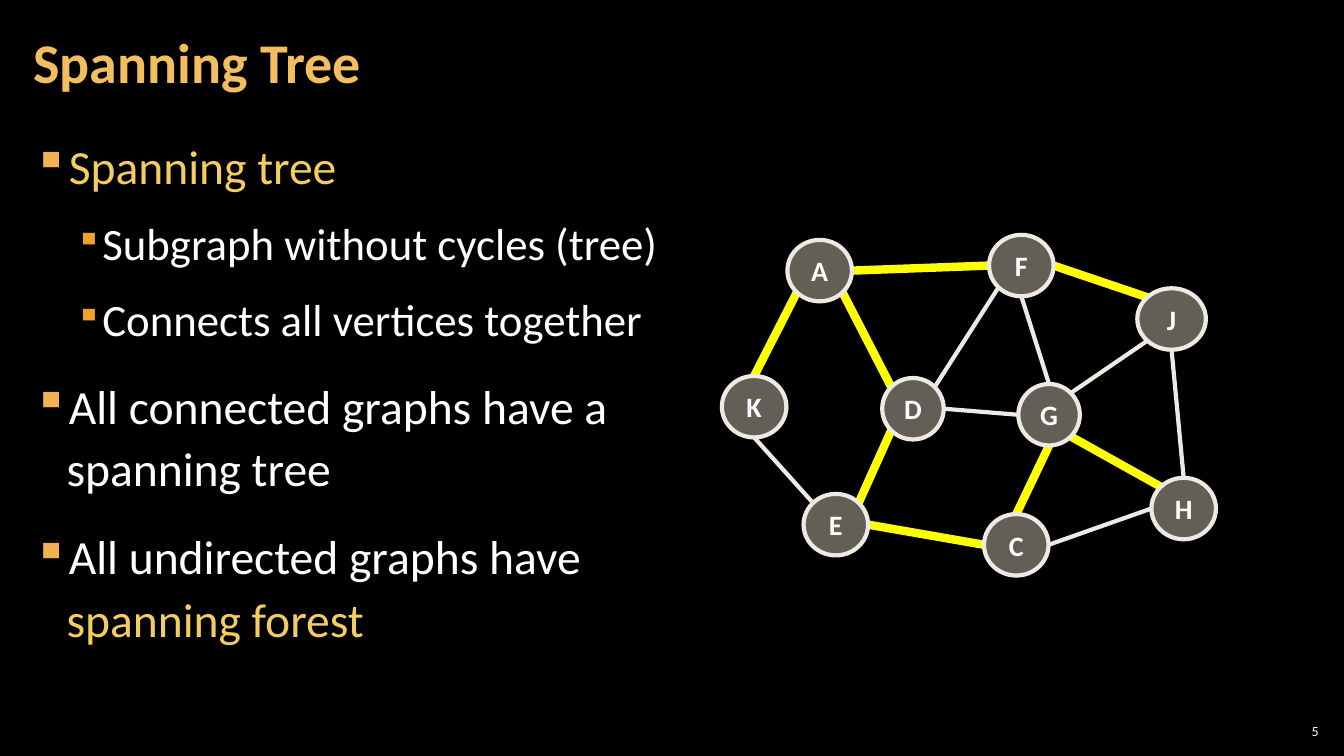
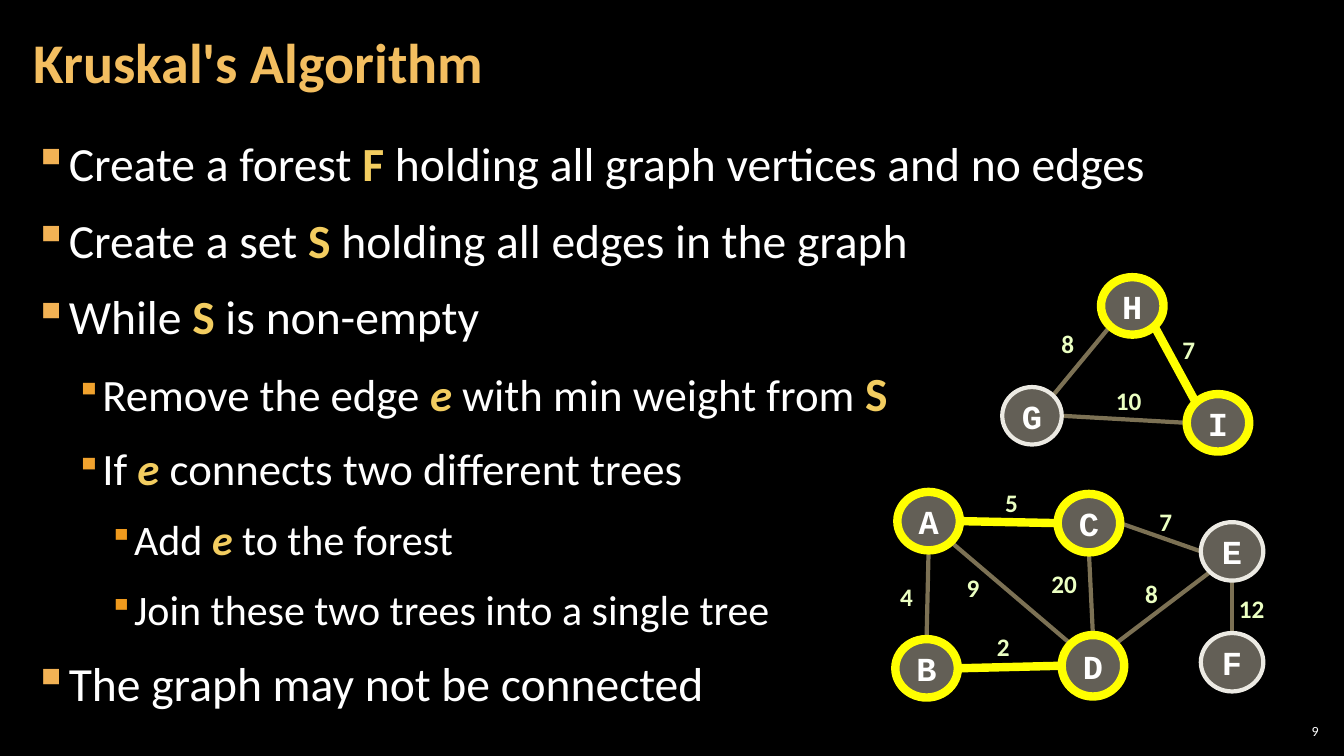
from math import cos, pi, sin

from lxml.etree import SubElement
from pptx import Presentation
from pptx.dml.color import RGBColor
from pptx.enum.shapes import MSO_CONNECTOR, MSO_SHAPE
from pptx.enum.text import MSO_ANCHOR, PP_ALIGN
from pptx.oxml.ns import qn
from pptx.util import Inches, Pt

COLORS = {
    "back": "000000", "text": "FFFFFF", "title": "F3BE60", "gold": "F3CD60",
    "node": "C7BFAC", "ring": "ECEAE3", "tree": "FFFF00", "dim": "7C7154",
    "weight": "EBFFC2",
}
# Per outline level: text size, left margin, hanging indent, bullet colour, bullet percent
LEVELS = [
    (34, 0.33, 0.33, "F2B254", 100),
    (32, 0.67, 0.25, "F0A22E", 80),
    (30, 1.00, 0.25, "EF9A1D", 80),
]
# Run styles used in the outlines
STYLES = {
    "plain": {},
    "gold": {"color": "gold"},
    "name": {"color": "gold", "bold": True, "size": 34},
    "var": {"color": "gold", "bold": True, "italic": True},
}
COMPASS = ["e", "se", "s", "sw", "w", "nw", "n", "ne"]

# Content: an outline entry is (level, runs); a run is plain text or (text, style).
# A node is (left, top, width, height); an edge joins compass points of two nodes.
SLIDES = [
    {
        "title": "Spanning Tree", "number": "5", "spacing": 1.1, "before": 12,
        "outline": [
            (0, [("Spanning tree", "gold")]),
            (1, ["Subgraph without cycles (tree)"]),
            (1, ["Connects all vertices together"]),
            (0, ["All connected graphs have a\nspanning tree"]),
            (0, ["All undirected graphs have\n", ("spanning forest", "gold")]),
        ],
        "node_font": ("Calibri", 20), "edge_color": "ring", "ringed": "",
        "nodes": {
            "A": (7.81, 2.38, 0.64, 0.61), "C": (9.76, 5.10, 0.64, 0.61),
            "D": (8.75, 3.75, 0.61, 0.61), "E": (7.97, 4.90, 0.64, 0.61),
            "F": (9.81, 2.33, 0.64, 0.61), "G": (10.10, 3.81, 0.61, 0.61),
            "H": (11.42, 4.74, 0.64, 0.61), "J": (11.28, 2.86, 0.68, 0.61),
            "K": (7.16, 3.73, 0.64, 0.61),
        },
        "edges": ["G.ne J.sw", "G.n F.s", "D.e G.w", "F.sw D.ne",
                  "H.n J.s", "H.w C.e", "K.s E.nw"],
        "tree": ["F.e J.nw", "A.e F.w", "D.nw A.se", "G.se H.nw",
                 "C.w E.e", "D.sw E.ne", "C.n G.s", "K.n A.sw"],
        "weights": [],
    },
    {
        "title": "Kruskal's Algorithm", "number": "9", "spacing": 1.05, "before": 6,
        "outline": [
            (0, ["Create a forest ", ("F", "name"),
                 " holding all graph vertices and no edges"]),
            (0, ["Create a set ", ("S", "name"), " holding all edges in the graph"]),
            (0, ["While ", ("S", "name"), " is non-empty"]),
            (1, ["Remove the edge ", ("e", "var"), " with min weight from ",
                 ("S", "name")]),
            (1, ["If ", ("e ", "var"), "connects two different trees"]),
            (2, ["Add ", ("e", "var"), " to the forest"]),
            (2, ["Join these two trees into a single tree"]),
            (0, ["The graph may not be connected"]),
        ],
        "node_font": ("Courier New", 24), "edge_color": "dim", "ringed": "ABCDHI",
        "nodes": {
            "A": (8.90, 4.88, 0.62, 0.58), "B": (8.88, 6.34, 0.62, 0.58),
            "C": (10.49, 4.90, 0.62, 0.58), "D": (10.53, 6.30, 0.62, 0.61),
            "E": (11.91, 5.18, 0.62, 0.58), "F": (11.91, 6.28, 0.62, 0.58),
            "G": (9.94, 3.84, 0.59, 0.57), "H": (10.92, 2.75, 0.62, 0.57),
            "I": (11.77, 3.91, 0.62, 0.57),
        },
        "edges": ["D.ne E.sw", "D.n C.s", "F.n E.s", "D.nw A.se",
                  "C.e E.w", "B.n A.s", "G.e I.w", "G.ne H.sw"],
        "tree": ["D.w B.e", "A.e C.w", "I.nw H.se"],
        "weights": [
            ("4", 8.83, 5.72), ("2", 9.79, 6.21), ("9", 9.49, 5.63),
            ("12", 12.19, 5.84), ("8", 11.26, 5.69), ("7", 11.40, 4.97),
            ("5", 9.87, 4.79), ("20", 10.33, 5.59), ("10", 10.97, 3.77),
            ("8", 10.43, 3.21), ("7", 11.63, 3.27),
        ],
    },
]


def rgb(name):
    return RGBColor.from_string(COLORS[name])


def add_run(p, text, size, color="text", bold=False, italic=False, font="Calibri"):
    for i, line in enumerate(text.split("\n")):
        if i:
            p.add_line_break()
        if line:
            r = p.add_run()
            r.text = line
            r.font.name, r.font.size = font, Pt(size)
            r.font.bold, r.font.italic = bold, italic
            r.font.color.rgb = rgb(color)


def set_frame(tf, wrap=True, anchor=MSO_ANCHOR.TOP, side=0.1, edge=0.05):
    tf.word_wrap, tf.vertical_anchor = wrap, anchor
    tf.margin_left = tf.margin_right = Inches(side)
    tf.margin_top = tf.margin_bottom = Inches(edge)
    return tf


def add_text(s, box, **frame):
    sp = s.shapes.add_textbox(*map(Inches, box))
    return set_frame(sp.text_frame, **frame)


def add_bullet(p, level):
    _, margin, hang, color, percent = LEVELS[level]
    pPr = p._p.get_or_add_pPr()
    pPr.set("marL", str(Inches(margin)))
    pPr.set("indent", str(-Inches(hang)))
    SubElement(SubElement(pPr, qn("a:buClr")), qn("a:srgbClr"), val=color)
    SubElement(pPr, qn("a:buSzPct"), val=str(percent * 1000))
    SubElement(pPr, qn("a:buChar"), char="▪")


def add_outline(s, data):
    tf = add_text(s, (0.21, 1.26, 12.91, 6.09), side=0.12, edge=0.04)
    for i, (level, runs) in enumerate(data["outline"]):
        p = tf.add_paragraph() if i else tf.paragraphs[0]
        p.level = level
        add_bullet(p, level)
        p.line_spacing, p.space_after = data["spacing"], Pt(6)
        p.space_before = Pt(0 if i == 0 else 6 if level else data["before"])
        for run in runs:
            text, style = (run, "plain") if isinstance(run, str) else run
            add_run(p, text, **{"size": LEVELS[level][0], **STYLES[style]})


def add_frame(s, data):
    """Title and slide number."""
    p = add_text(s, (0.21, 0.04, 10.47, 1.21), anchor=MSO_ANCHOR.MIDDLE,
                 side=0.12, edge=0.04).paragraphs[0]
    p.line_spacing = 0.9
    add_run(p, data["title"], 40, "title", bold=True)
    p = add_text(s, (12.65, 7.14, 0.47, 0.22), anchor=MSO_ANCHOR.MIDDLE,
                 side=0.04, edge=0.04).paragraphs[0]
    p.alignment = PP_ALIGN.RIGHT
    add_run(p, data["number"], 10)


def rim_point(nodes, end):
    name, side = end.split(".")
    x, y, w, h = nodes[name]
    angle = COMPASS.index(side) * pi / 4
    return Inches(x + w / 2 * (1 + cos(angle))), Inches(y + h / 2 * (1 + sin(angle)))


def add_edge(s, nodes, edge, color, width):
    start, end = (rim_point(nodes, e) for e in edge.split())
    line = s.shapes.add_connector(MSO_CONNECTOR.STRAIGHT, *start, *end)
    line.line.color.rgb, line.line.width = rgb(color), Pt(width)
    SubElement(line._element.spPr, qn("a:effectLst"))


def add_node(s, name, box, ringed, font):
    sp = s.shapes.add_shape(MSO_SHAPE.OVAL, *map(Inches, box))
    sp.shadow.inherit = False
    sp.fill.solid()
    sp.fill.fore_color.rgb = rgb("node")
    fill = sp._element.spPr.find(qn("a:solidFill"))
    SubElement(fill[0], qn("a:alpha"), val="50000")
    sp.line.color.rgb = rgb("tree" if ringed else "ring")
    sp.line.width = Pt(6 if ringed else 3)
    tf = set_frame(sp.text_frame, wrap=False, anchor=MSO_ANCHOR.MIDDLE, side=0.04)
    p = tf.paragraphs[0]
    p.alignment = PP_ALIGN.CENTER
    add_run(p, name, font[1], bold=True, font=font[0])


def add_graph(s, data):
    nodes = data["nodes"]
    for edge in data["edges"]:
        add_edge(s, nodes, edge, data["edge_color"], 3)
    for edge in data["tree"]:
        add_edge(s, nodes, edge, "tree", 6)
    for name, box in nodes.items():
        add_node(s, name, box, name in data["ringed"], data["node_font"])
    for text, x, y in data["weights"]:
        tf = add_text(s, (x, y, 0.2 + 0.13 * len(text), 0.4), wrap=False)
        add_run(tf.paragraphs[0], text, 18, "weight", bold=True)


def main():
    prs = Presentation()
    prs.slide_width, prs.slide_height = Inches(13.33), Inches(7.5)
    back = prs.slide_master.background.fill
    back.solid()
    back.fore_color.rgb = rgb("back")
    for data in SLIDES:
        s = prs.slides.add_slide(prs.slide_layouts[6])
        add_frame(s, data)
        add_outline(s, data)
        add_graph(s, data)
    prs.save("out.pptx")


if __name__ == "__main__":
    main()
